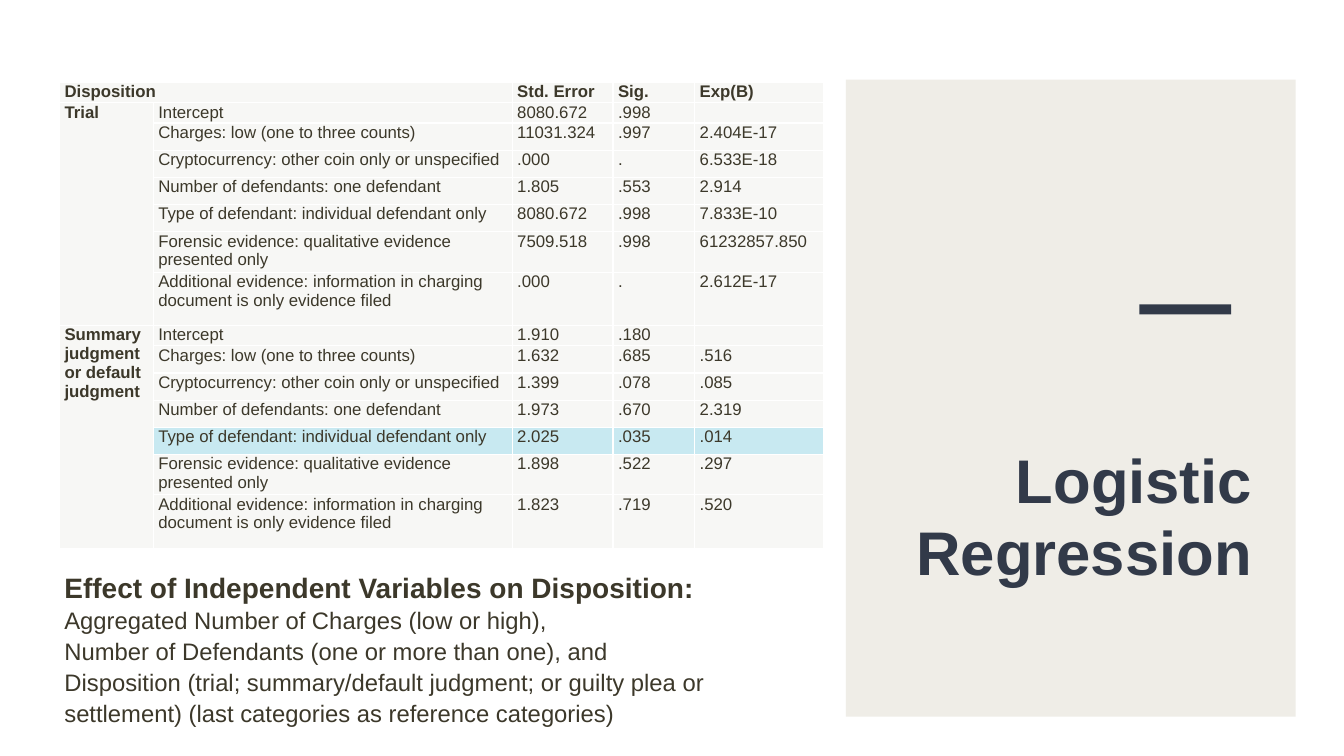
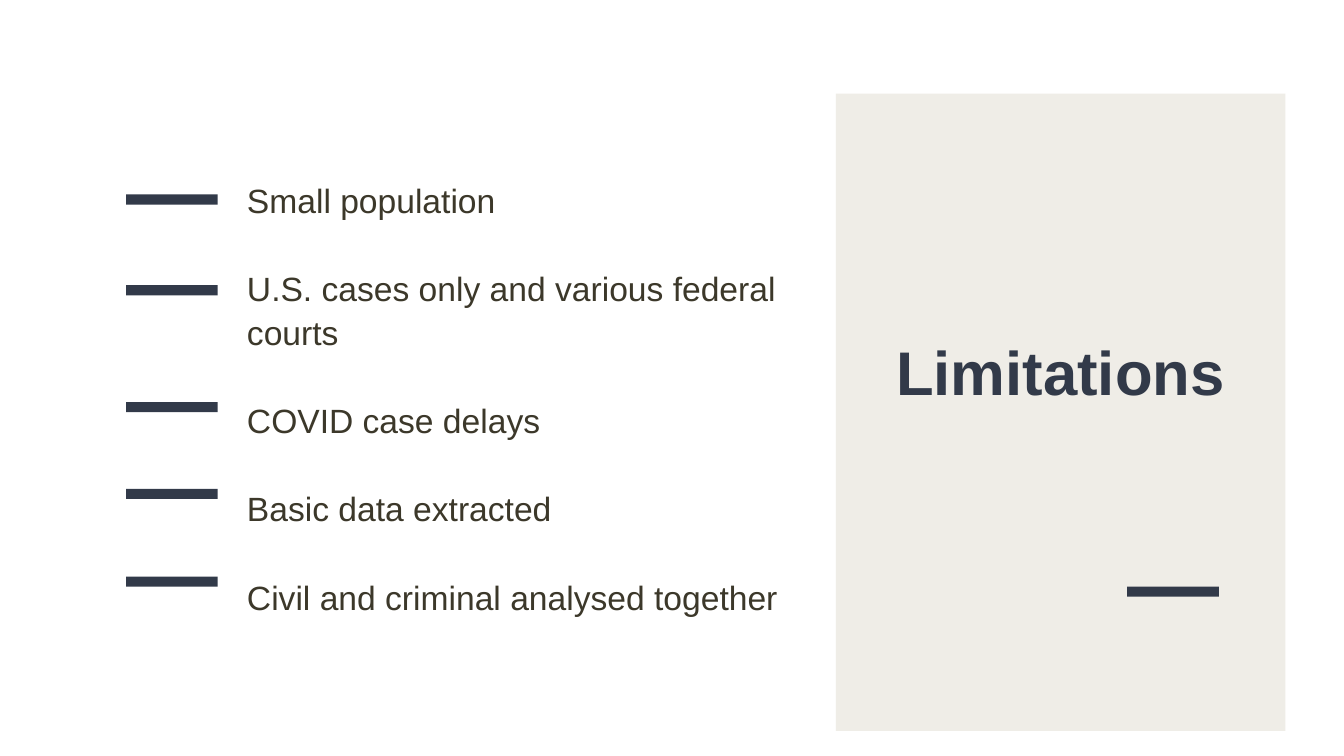
import pptx
import pptx.util
import pptx.dml.color
import pptx.enum.shapes
import pptx.enum.text
import pptx.oxml.ns
from dataclasses import dataclass
from lxml import etree

Inches = pptx.util.Inches
Pt = pptx.util.Pt
ALIGN = pptx.enum.text.PP_ALIGN


@dataclass(frozen=True)
class Theme:
    font: str = "Arial"
    panel: str = "EFEDE7"
    accent: str = "323A49"
    body: str = "3C382A"
    cell: str = "F7F7F5"
    highlight: str = "C8E9F1"
    border: str = "FFFFFF"
    title_size: int = 44
    list_size: int = 24
    heading_size: int = 20
    note_size: int = 17
    table_size: int = 12
    title_spacing: float = 0.97
    body_spacing: float = 1.08


THEME = Theme()
PANEL_WIDTH, PANEL_HEIGHT = 4.46, 6.32
BAR_WIDTH, BAR_HEIGHT = 0.91, 0.1

FACTORS = [
    "Intercept",
    "Charges: low (one to three counts)",
    "Cryptocurrency: other coin only or unspecified",
    "Number of defendants: one defendant",
    "Type of defendant: individual defendant only",
    "Forensic evidence: qualitative evidence presented only",
    "Additional evidence: information in charging document is only evidence filed",
]
HEADINGS = ["Disposition", "", "Std. Error", "Sig.", "Exp(B)"]
RESULTS = {
    "Trial": [
        ("8080.672", ".998", ""),
        ("11031.324", ".997", "2.404E-17"),
        (".000", ".", "6.533E-18"),
        ("1.805", ".553", "2.914"),
        ("8080.672", ".998", "7.833E-10"),
        ("7509.518", ".998", "61232857.850"),
        (".000", ".", "2.612E-17"),
    ],
    "Summary judgment or default judgment": [
        ("1.910", ".180", ""),
        ("1.632", ".685", ".516"),
        ("1.399", ".078", ".085"),
        ("1.973", ".670", "2.319"),
        ("2.025", ".035", ".014"),
        ("1.898", ".522", ".297"),
        ("1.823", ".719", ".520"),
    ],
}
HIGHLIGHT_ROW = 12
COLUMN_WIDTHS = [0.93, 3.56, 1, 0.81, 1.28]
GROUP_HEIGHTS = [0.13] + [0.27] * 5 + [0.53]
LIMITATIONS = [
    "Small population",
    "U.S. cases only and various federal courts",
    "COVID case delays",
    "Basic data extracted",
    "Civil and criminal analysed together",
]


def color(value):
    return pptx.dml.color.RGBColor.from_string(value)


def style(font, size=None, value=THEME.body, bold=None):
    font.name = THEME.font
    font.color.rgb = color(value)
    font.bold = bold
    if size:
        font.size = Pt(size)


def add_rectangle(slide, left, top, width, height, fill):
    shape = slide.shapes.add_shape(
        pptx.enum.shapes.MSO_SHAPE.RECTANGLE,
        Inches(left), Inches(top), Inches(width), Inches(height))
    shape.shadow.inherit = False
    shape.fill.solid()
    shape.fill.fore_color.rgb = color(fill)
    shape.line.fill.background()


def add_bar(slide, left, top):
    add_rectangle(slide, left, top, BAR_WIDTH, BAR_HEIGHT, THEME.accent)


def add_text_frame(slide, left, top, width, height, inset=True):
    box = slide.shapes.add_textbox(Inches(left), Inches(top), Inches(width), Inches(height))
    frame = box.text_frame
    frame.word_wrap = True
    if not inset:
        frame.margin_left = frame.margin_top = frame.margin_right = frame.margin_bottom = 0
    return frame


def next_paragraph(frame, index):
    return frame.add_paragraph() if index else frame.paragraphs[0]


def add_title_panel(slide, left, top, title, title_offset, title_width, alignment, bar_offset):
    add_rectangle(slide, left, top, PANEL_WIDTH, PANEL_HEIGHT, THEME.panel)
    frame = add_text_frame(slide, left + title_offset[0], top + title_offset[1],
                           title_width, 1.5, inset=False)
    paragraph = frame.paragraphs[0]
    paragraph.text = title
    paragraph.alignment = alignment
    paragraph.line_spacing = THEME.title_spacing
    style(paragraph.font, THEME.title_size, THEME.accent, True)
    add_bar(slide, left + bar_offset[0], top + bar_offset[1])


def add_borders(cell):
    properties = cell._tc.get_or_add_tcPr()
    qn = pptx.oxml.ns.qn
    for side in ("a:lnL", "a:lnR", "a:lnT", "a:lnB"):
        line = etree.SubElement(properties, qn(side), w=str(Pt(1)))
        fill = etree.SubElement(line, qn("a:solidFill"))
        etree.SubElement(fill, qn("a:srgbClr"), val=THEME.border)


def fill_cell(cell, text, bold, fill):
    cell.margin_left = cell.margin_right = Inches(0.05)
    cell.margin_top = cell.margin_bottom = 0
    add_borders(cell)
    cell.fill.solid()
    cell.fill.fore_color.rgb = color(fill)
    paragraph = cell.text_frame.paragraphs[0]
    paragraph.text = text
    style(paragraph.font, THEME.table_size, bold=bold)
    if not text:
        etree.SubElement(paragraph._p, pptx.oxml.ns.qn("a:endParaRPr"),
                         sz=str(THEME.table_size * 100))


def add_regression_table(slide, left, top):
    rows = [HEADINGS]
    for disposition, values in RESULTS.items():
        for index, (factor, numbers) in enumerate(zip(FACTORS, values)):
            rows.append([disposition if index == 0 else "", factor, *numbers])
    heights = [0.13] + GROUP_HEIGHTS * len(RESULTS)
    frame = slide.shapes.add_table(
        len(rows), len(COLUMN_WIDTHS), Inches(left), Inches(top),
        Inches(sum(COLUMN_WIDTHS)), Inches(sum(heights)))
    table = frame.table
    table.first_row = table.horz_banding = False
    for column, width in zip(table.columns, COLUMN_WIDTHS):
        column.width = Inches(width)
    for row, height in zip(table.rows, heights):
        row.height = Inches(height)
    for row_index, row in enumerate(rows):
        for column_index, text in enumerate(row):
            highlighted = row_index == HIGHLIGHT_ROW and column_index > 0
            fill_cell(table.cell(row_index, column_index), text,
                      row_index == 0 or column_index == 0,
                      THEME.highlight if highlighted else THEME.cell)
    table.cell(0, 0).merge(table.cell(0, 1))
    for group in range(len(RESULTS)):
        first = 1 + group * len(FACTORS)
        table.cell(first, 0).merge(table.cell(first + len(FACTORS) - 1, 0))


def add_variable_note(slide, left, top, width, height):
    frame = add_text_frame(slide, left, top, width, height)
    frame.auto_size = pptx.enum.text.MSO_AUTO_SIZE.SHAPE_TO_FIT_TEXT
    heading = (THEME.heading_size, True)
    note = (THEME.note_size, False)
    paragraphs = [
        [("Effect of Independent Variables on Disposition: ", heading),
         ("Aggregated Number of Charges (low or high),", note)],
        [("Number of Defendants (one or more than one), and", note)],
        [("Disposition (trial; summary/default judgment; or guilty plea or settlement) "
          "(last categories as reference categories)", note)],
    ]
    for index, runs in enumerate(paragraphs):
        paragraph = next_paragraph(frame, index)
        paragraph.line_spacing = THEME.body_spacing
        style(paragraph.font)
        for text, (size, bold) in runs:
            run = paragraph.add_run()
            run.text = text
            run.font.size = Pt(size)
            run.font.bold = bold


def add_limitation_list(slide, left, top):
    frame = add_text_frame(slide, left + 1.2, top, 5.8, 4.3, inset=False)
    for index, text in enumerate(LIMITATIONS):
        paragraph = next_paragraph(frame, index)
        paragraph.text = text
        paragraph.line_spacing = THEME.body_spacing
        paragraph.space_before = Pt(32 if index else 0)
        style(paragraph.font, THEME.list_size)
    for offset in (0.18, 1.08, 2.24, 3.1, 3.97):
        add_bar(slide, left, top + offset)


def build_regression_slide(slide):
    add_title_panel(slide, 8.39, 0.79, "Logistic Regression", (0.42, 3.64), 3.61,
                    ALIGN.RIGHT, (2.91, 2.23))
    add_regression_table(slide, 0.59, 0.82)
    add_variable_note(slide, 0.54, 5.58, 7.64, 1.58)


def build_limitations_slide(slide):
    add_title_panel(slide, 8.29, 0.93, "Limitations", (0, 2.43), PANEL_WIDTH,
                    ALIGN.CENTER, (2.89, 4.89))
    add_limitation_list(slide, 1.25, 1.75)


def main():
    presentation = pptx.Presentation()
    presentation.slide_width = Inches(13.33)
    presentation.slide_height = Inches(7.5)
    blank = presentation.slide_layouts[6]
    for build in (build_regression_slide, build_limitations_slide):
        build(presentation.slides.add_slide(blank))
    presentation.save("out.pptx")


if __name__ == "__main__":
    main()
